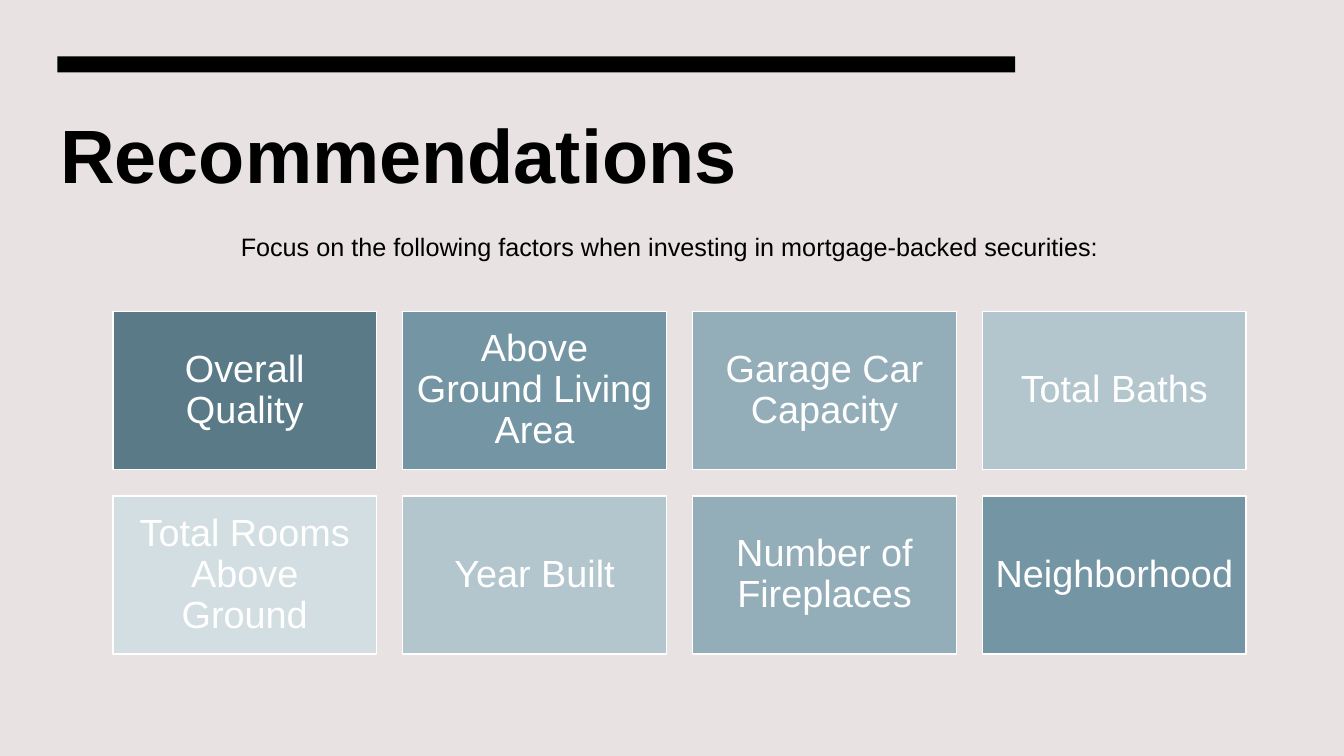
from pptx import Presentation
from pptx.dml.color import RGBColor
from pptx.enum.shapes import MSO_SHAPE
from pptx.enum.text import MSO_ANCHOR, PP_ALIGN
from pptx.util import Inches, Pt

FONT = "Arial"
BLACK = RGBColor(0x00, 0x00, 0x00)
WHITE = RGBColor(0xFF, 0xFF, 0xFF)
PAPER = RGBColor(0xE8, 0xE2, 0xE3)
# Card shades, from dark to light
SHADES = [RGBColor(0x5A, 0x7A, 0x87), RGBColor(0x74, 0x95, 0xA3),
          RGBColor(0x93, 0xAD, 0xB9), RGBColor(0xB3, 0xC6, 0xCD),
          RGBColor(0xD2, 0xDE, 0xE1)]
FACTORS = ["Overall Quality", "Above Ground Living Area",
           "Garage Car Capacity", "Total Baths",
           "Total Rooms Above Ground", "Year Built",
           "Number of Fireplaces", "Neighborhood"]
WIDTH, HEIGHT = 13.33, 7.5
COLS, ROWS, GAP = 4, 2, 0.26


def write(frame, text, size, color, bold=False):
    """Put one styled paragraph in a text frame and return it."""
    frame.word_wrap = True
    frame.text = text
    para = frame.paragraphs[0]
    font = para.runs[0].font
    font.name, font.size, font.bold = FONT, Pt(size), bold
    font.color.rgb = color
    return para


def add_rect(slide, box, fill):
    """Draw a plain filled rectangle without a line."""
    rect = slide.shapes.add_shape(MSO_SHAPE.RECTANGLE, *map(Inches, box))
    rect.shadow.inherit = False
    rect.fill.solid()
    rect.fill.fore_color.rgb = fill
    rect.line.fill.background()
    return rect


def add_label(slide, box, text, size, bold=False):
    """Add a black text box and return its paragraph."""
    label = slide.shapes.add_textbox(*map(Inches, box))
    return write(label.text_frame, text, size, BLACK, bold)


def add_header(slide, box):
    """Place the black bar with the title below it."""
    left, top, width, height = box
    add_rect(slide, (left + 0.07, top, width, 0.16), BLACK)
    title = add_label(slide, (left, top + 0.46, width, height - 0.46),
                      "Recommendations", 54, True)
    title.space_after = Pt(6)


def add_card(slide, box, text, fill):
    """Draw one factor card with centred text."""
    card = add_rect(slide, box, fill)
    card.line.color.rgb = WHITE
    card.line.width = Pt(1)
    frame = card.text_frame
    frame.vertical_anchor = MSO_ANCHOR.MIDDLE
    frame.margin_left = frame.margin_right = Inches(0.11)
    frame.margin_top = frame.margin_bottom = Inches(0.11)
    para = write(frame, text, 27, WHITE)
    para.alignment = PP_ALIGN.CENTER
    para.line_spacing = 0.9


def add_grid(slide, box):
    """Fill the box with cards whose shades fade out and back."""
    left, top, width, height = box
    wide = (width - GAP * (COLS - 1)) / COLS
    high = (height - GAP * (ROWS - 1)) / ROWS
    last = len(SHADES) - 1
    for i, text in enumerate(FACTORS):
        row, col = divmod(i, COLS)
        spot = (left + col * (wide + GAP), top + row * (high + GAP),
                wide, high)
        add_card(slide, spot, text, SHADES[last - abs(last - i)])


def build():
    """Build the slide and save it."""
    deck = Presentation()
    deck.slide_width, deck.slide_height = Inches(WIDTH), Inches(HEIGHT)
    slide = deck.slides.add_slide(deck.slide_layouts[6])
    slide.background.fill.solid()
    slide.background.fill.fore_color.rgb = PAPER
    add_rect(slide, (0, 0, WIDTH, HEIGHT), PAPER)
    add_header(slide, (0.5, 0.56, 9.5, 2.58))
    add_grid(slide, (1.12, 3.09, 11.24, 3.4))
    add_label(slide, (2.29, 2.25, 8.9, 0.71),
              "Focus on the following factors when investing in "
              "mortgage-backed securities:", 18)
    deck.save("out.pptx")


build()
